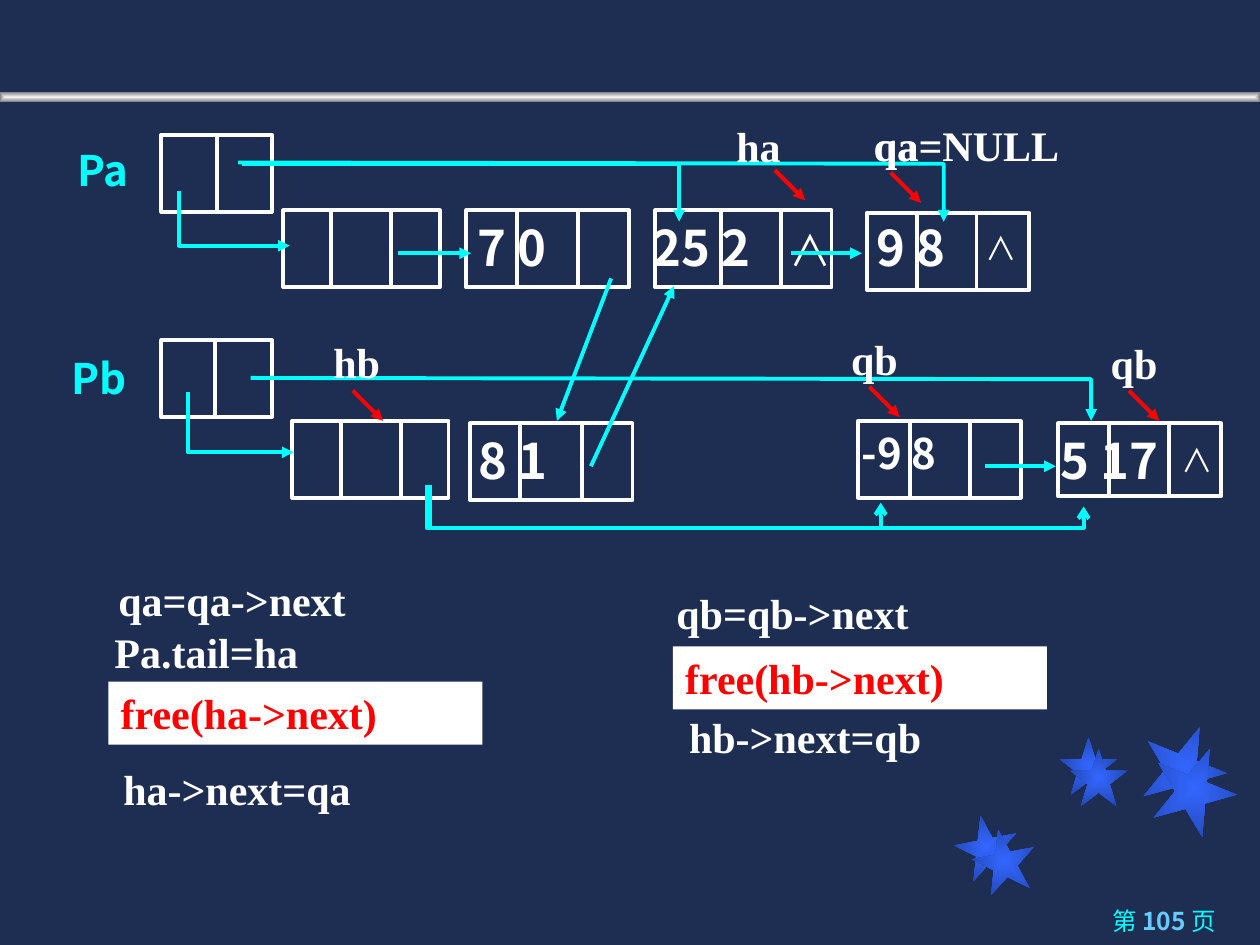
from dataclasses import dataclass
from lxml.etree import SubElement
from pptx import Presentation
from pptx.dml.color import RGBColor
from pptx.enum.shapes import MSO_CONNECTOR as CONNECTOR, MSO_SHAPE as SHAPE
from pptx.enum.text import MSO_ANCHOR as ANCHOR, PP_ALIGN as ALIGN
from pptx.oxml.ns import qn
from pptx.slide import Slide
from pptx.util import Inches, Pt

NAVY = RGBColor(0x1E, 0x2E, 0x53)
WHITE = RGBColor(0xFF, 0xFF, 0xFF)
CYAN = RGBColor(0x00, 0xFF, 0xFF)
SKY = RGBColor(0x66, 0xCC, 0xFF)
RED = RGBColor(0xFF, 0x00, 0x00)
STAR_INNER = RGBColor(0x33, 0x66, 0xFF)
STAR_OUTER = RGBColor(0x24, 0x49, 0xB6)
BAR_INNER = RGBColor(0xF2, 0xF2, 0xF2)
BAR_OUTER = RGBColor(0x80, 0x80, 0x80)
SANS = "Noto Sans CJK SC"
SERIF = "Times New Roman"


def format_run(run, size, color, font, bold=True):
    run.font.size = Pt(size)
    run.font.bold = bold
    run.font.name = font
    run.font.color.rgb = color
    SubElement(run.font._element, qn("a:ea"), typeface=font)


def write(shape, text, size, color, font, bold=True, align=ALIGN.LEFT, inset=0.1):
    frame = shape.text_frame
    frame.word_wrap = True
    frame.vertical_anchor = ANCHOR.TOP
    frame.margin_left = Inches(inset)
    frame.text = text
    paragraph = frame.paragraphs[0]
    paragraph.alignment = align
    paragraph.space_before = Pt(4)
    format_run(paragraph.runs[0], size, color, font, bold)


def style_line(shape, color, head=None):
    shape.line.color.rgb = color
    shape.line.width = Pt(2.25)
    if head:
        SubElement(shape.line._get_or_add_ln(), qn("a:tailEnd"), type=head)


def fill_radial(shape, inner, outer):
    shape.shadow.inherit = False
    shape.line.fill.background()
    shape.fill.gradient()
    for stop, color, position in zip(shape.fill.gradient_stops, (inner, outer), (0, 1)):
        stop.color.rgb = color
        stop.position = position
    gradient = shape._element.spPr.find(qn("a:gradFill"))
    gradient.remove(gradient.find(qn("a:lin")))
    radial = SubElement(gradient, qn("a:path"), path="shape")
    SubElement(radial, qn("a:fillToRect"), l="50000", t="50000", r="50000", b="50000")


@dataclass
class Region:
    slide: Slide
    left: float
    top: float

    def point(self, x, y):
        return Inches(self.left + x), Inches(self.top + y)

    def box(self, x, y, width, height):
        return *self.point(x, y), Inches(width), Inches(height)

    def shape(self, kind, x, y, width, height):
        shape = self.slide.shapes.add_shape(kind, *self.box(x, y, width, height))
        shape.shadow.inherit = False
        return shape

    def text(self, text, x, y, width, size, font, color=WHITE, **options):
        shape = self.slide.shapes.add_textbox(*self.box(x, y, width, 0.5))
        write(shape, text, size, color, font, **options)

    def line(self, start, end, color, head=None, kind=CONNECTOR.STRAIGHT):
        line = self.slide.shapes.add_connector(kind, *self.point(*start), *self.point(*end))
        style_line(line, color, head)
        SubElement(line._element.spPr, qn("a:effectLst"))
        return line

    def elbow(self, start, end, drop):
        line = self.line(start, end, CYAN, "arrow", CONNECTOR.ELBOW)
        geometry = line._element.spPr.find(qn("a:prstGeom"))
        geometry.set("prst", "bentConnector4")
        guides = geometry.find(qn("a:avLst"))
        ratio = round(drop / (end[1] - start[1]) * 100000)
        for name, value in (("adj1", 0), ("adj2", ratio)):
            SubElement(guides, qn("a:gd"), name=name, fmla=f"val {value}")

    def route(self, start, *points):
        builder = self.slide.shapes.build_freeform(*self.point(*start), scale=1.0)
        builder.add_line_segments([self.point(*point) for point in points], close=False)
        shape = builder.convert_to_shape()
        shape.shadow.inherit = False
        shape.fill.background()
        style_line(shape, CYAN, "triangle")

    def node(self, x, y, width, height, *dividers):
        frame = self.shape(SHAPE.RECTANGLE, x, y, width, height)
        frame.fill.background()
        style_line(frame, WHITE)
        for offset in dividers:
            self.line((x + offset, y), (x + offset, y + height), WHITE)

    def pointer(self, name, x, y, dx, dy):
        self.text(name, x, y, 1.02, 24, SERIF, align=ALIGN.CENTER)
        start = (x + dx, y + dy)
        self.line(start, (start[0] + 0.24, start[1] + 0.24), RED, "triangle")

    def caret(self, x, y, width, size):
        self.text("∧", x, y, width, size, SANS, bold=False, align=ALIGN.CENTER)


def add_backdrop(slide):
    slide.background.fill.solid()
    slide.background.fill.fore_color.rgb = NAVY
    bar = Region(slide, 0, 0.73).shape(SHAPE.RECTANGLE, 0, 0, 10, 0.08)
    fill_radial(bar, BAR_INNER, BAR_OUTER)


def add_stars(slide, left, top):
    region = Region(slide, left, top)
    for x, y, size, rotation in (
        (0.08, 0.77, 0.5, 349), (0.91, 0.15, 0.46, 0), (1.56, 0.05, 0.67, 22),
        (0.22, 0.88, 0.5, 349), (0.99, 0.24, 0.46, 0), (1.64, 0.22, 0.67, 22),
    ):
        star = region.shape(SHAPE.STAR_5_POINT, x, y, size, size)
        star.rotation = rotation
        fill_radial(star, STAR_INNER, STAR_OUTER)


def add_page_number(slide, left, top):
    box = slide.shapes.add_textbox(*Region(slide, left, top).box(0, 0, 2.63, 0.36))
    paragraph = box.text_frame.paragraphs[0]
    box.text_frame.word_wrap = True
    paragraph.alignment = ALIGN.RIGHT
    for text, color, bold in (("第 ", CYAN, False), ("105 ", SKY, True), ("页", CYAN, False)):
        run = paragraph.add_run()
        run.text = text
        format_run(run, 14, color, SANS, bold)


def add_list_a(slide, left, top):
    region = Region(slide, left, top)
    region.text("Pa", 0.06, 0.2, 0.91, 24, SANS, CYAN, align=ALIGN.CENTER)
    region.node(0.98, 0.17, 0.88, 0.61, 0.44)
    region.node(1.95, 0.77, 1.24, 0.61, 0.38, 0.85)
    region.node(3.4, 0.77, 1.29, 0.61, 0.4, 0.89)
    region.node(4.9, 0.77, 1.4, 0.61, 0.52, 1)
    region.node(6.58, 0.79, 1.29, 0.61, 0.4, 0.87)
    for value, x in (("7 0", 3.33), ("25 2", 4.72), ("9 8", 6.5)):
        region.text(value, x, 0.78, 1.3, 28, SANS, inset=0.16)
    region.caret(5.86, 0.83, 0.54, 24)
    region.caret(7.42, 0.87, 0.45, 18)
    region.route((1.12, 0.62), (1.12, 1.05), (2, 1.05))
    region.route((1.62, 0.4), (5.09, 0.4), (5.09, 0.86))
    region.route((1.59, 0.39), (7.19, 0.4), (7.19, 0.86))
    region.line((2.86, 1.11), (3.44, 1.11), CYAN, "triangle")
    region.line((5.98, 1.11), (6.54, 1.11), CYAN, "triangle")
    region.pointer("ha", 5.21, 0.01, 0.64, 0.44)
    region.pointer("qa", 6.3, 0, 0.47, 0.47)
    region.text("qa=NULL", 6.54, 0, 2, 24, SERIF)


def add_list_b(slide, left, top):
    region = Region(slide, left, top)
    region.text("Pb", 0.03, 0.15, 0.91, 24, SANS, CYAN, align=ALIGN.CENTER)
    region.node(0.98, 0.1, 0.88, 0.61, 0.43)
    region.node(2.02, 0.74, 1.24, 0.61, 0.39, 0.86)
    region.node(3.43, 0.76, 1.29, 0.61, 0.4, 0.89)
    region.node(6.51, 0.74, 1.29, 0.61, 0.41, 0.89)
    region.node(8.1, 0.76, 1.29, 0.58, 0.4, 0.88)
    region.text("8 1", 3.36, 0.77, 1.3, 28, SANS, inset=0.14)
    region.text("-9 8", 6.44, 0.74, 1.3, 24, SANS)
    region.text("5 17", 8.02, 0.77, 1.3, 28, SANS)
    region.caret(8.98, 0.85, 0.45, 18)
    region.route((1.19, 0.51), (1.19, 0.99), (2.03, 0.99))
    region.route((1.69, 0.4), (8.36, 0.41), (8.36, 0.74))
    region.line((7.52, 1.1), (8.08, 1.1), CYAN, "triangle")
    region.elbow((3.11, 1.25), (6.69, 1.39), 0.34)
    region.elbow((3.09, 1.25), (8.3, 1.42), 0.34)
    region.pointer("hb", 2.02, 0.02, 0.48, 0.48)
    region.pointer("qb", 6.13, 0, 0.47, 0.47)
    region.pointer("qb", 8.19, 0.03, 0.47, 0.47)


def add_cross_links(slide, left, top):
    region = Region(slide, left, top)
    region.line((0.45, 0.01), (0.02, 1.14), CYAN, "triangle")
    region.line((0.29, 1.5), (0.95, 0.07), CYAN, "triangle")


def add_code(slide, left, top, lines, freed):
    region = Region(slide, left, top)
    for text, x, y in lines:
        region.text(text, x, y, 4.31, 24, SERIF)
    text, x, y = freed
    box = region.shape(SHAPE.RECTANGLE, x, y, 2.97, 0.5)
    box.fill.solid()
    box.fill.fore_color.rgb = WHITE
    box.line.fill.background()
    write(box, text, 24, RED, SERIF)


def main():
    presentation = Presentation()
    presentation.slide_width, presentation.slide_height = Inches(10), Inches(7.5)
    slide = presentation.slides.add_slide(presentation.slide_layouts[6])
    add_backdrop(slide)
    add_stars(slide, 7.5, 5.7)
    add_page_number(slide, 7.12, 7.14)
    add_list_b(slide, 0.3, 2.6)
    add_list_a(slide, 0.3, 0.9)
    add_cross_links(slide, 4.4, 2.2)
    lines_a = (("qa=qa->next", 0.04, 0.01), ("Pa.tail=ha", 0.01, 0.42), ("ha->next=qa", 0.08, 1.51))
    add_code(slide, 0.8, 4.5, lines_a, ("free(ha->next)", 0.06, 0.91))
    lines_b = (("qb=qb->next", 0, 0.01), ("hb->next=qb", 0.1, 1))
    add_code(slide, 5.27, 4.6, lines_b, ("free(hb->next)", 0.07, 0.53))
    presentation.save("out.pptx")


if __name__ == "__main__":
    main()
